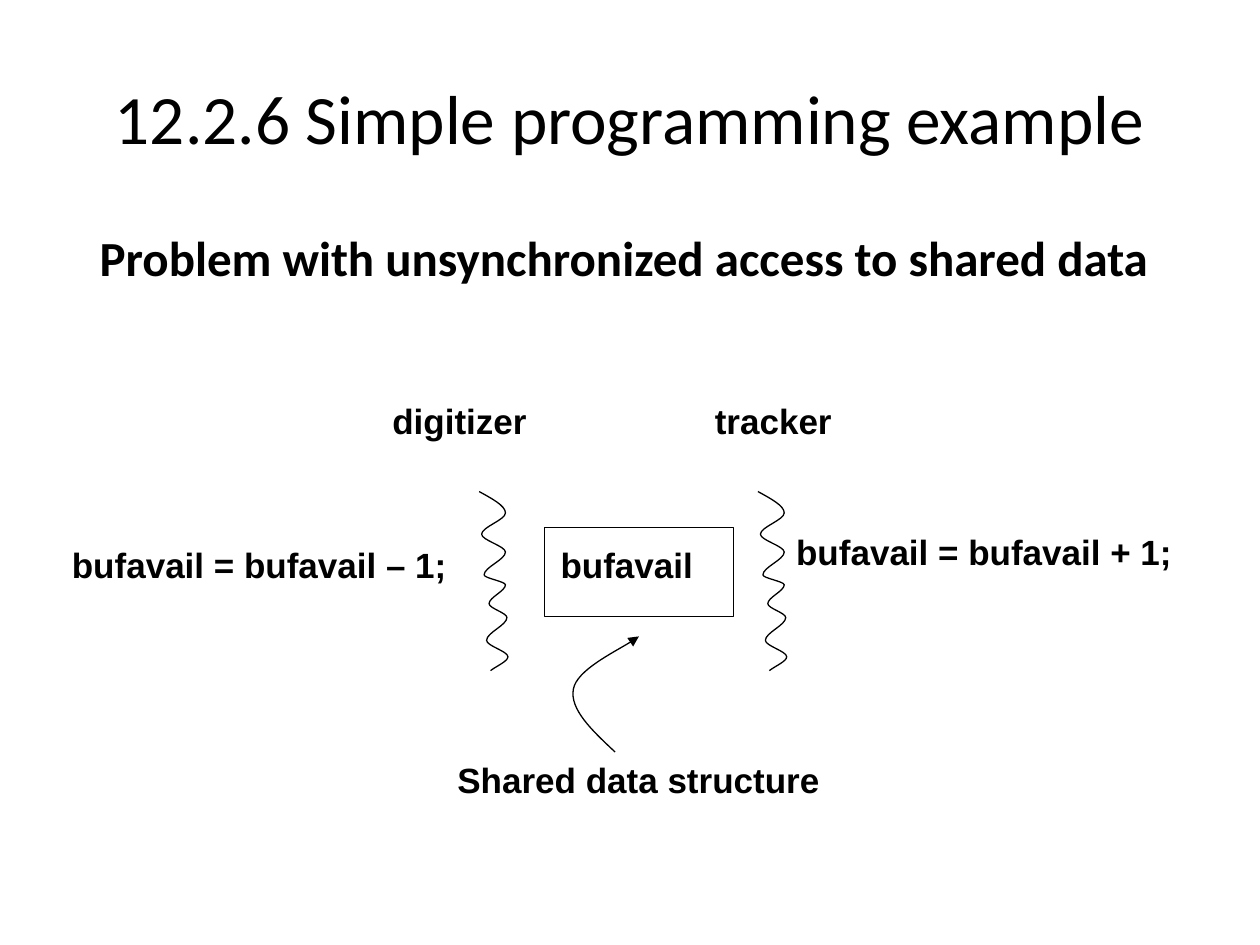
from dataclasses import dataclass

from lxml.etree import SubElement
from pptx import Presentation
from pptx.dml.color import RGBColor
from pptx.enum.shapes import MSO_SHAPE as Shape
from pptx.enum.text import MSO_ANCHOR as Anchor, MSO_AUTO_SIZE as AutoSize, PP_ALIGN as Align
from pptx.oxml.ns import qn
from pptx.util import Cm, Pt


@dataclass(frozen=True)
class Theme:
    ink: RGBColor = RGBColor(0, 0, 0)
    heading_font: str = "Calibri"
    label_font: str = "Arial"
    title_size: float = 39.6
    subtitle_size: float = 28
    label_size: float = 20
    line_width: float = 0.75


def wave_points(turns, lead_in, lead_out):
    """Add two control points per gap, so the curve is vertical at inner turns."""
    points = [turns[0]]
    last = len(turns) - 2
    for i, ((x0, y0), (x1, y1)) in enumerate(zip(turns, turns[1:])):
        third = (y1 - y0) / 3
        leave_x = x0 + (lead_in if i == 0 else 0)
        arrive_x = x1 + (lead_out if i == last else 0)
        points += [(leave_x, y0 + third), (arrive_x, y1 - third), (x1, y1)]
    return points


class SlideBuilder:
    def __init__(self, slide, theme):
        self.slide = slide
        self.theme = theme

    def _text(self, text, left, top, width, height, font, size, bold):
        box = self.slide.shapes.add_textbox(Cm(left), Cm(top), Cm(width), Cm(height))
        frame = box.text_frame
        frame.word_wrap = True
        paragraph = frame.paragraphs[0]
        paragraph.text = text
        paragraph.font.name = font
        paragraph.font.size = Pt(size)
        paragraph.font.bold = bold
        paragraph.font.color.rgb = self.theme.ink
        return frame

    def _outline(self, shape):
        shape.shadow.inherit = False
        shape.fill.background()
        shape.line.color.rgb = self.theme.ink
        shape.line.width = Pt(self.theme.line_width)

    def title(self, text, left, top, width, height):
        frame = self._text(text, left, top, width, height,
                           self.theme.heading_font, self.theme.title_size, False)
        frame.vertical_anchor = Anchor.MIDDLE
        frame.paragraphs[0].alignment = Align.CENTER

    def subtitle(self, text, left, top, width, height):
        frame = self._text(text, left, top, width, height,
                           self.theme.heading_font, self.theme.subtitle_size, True)
        frame.word_wrap = False
        frame.auto_size = AutoSize.SHAPE_TO_FIT_TEXT

    def label(self, text, left, top, width, height=1.17):
        frame = self._text(text, left, top, width, height,
                           self.theme.label_font, self.theme.label_size, True)
        frame.margin_left = frame.margin_right = Cm(0.18)
        frame.margin_top = frame.margin_bottom = Cm(0.08)

    def box(self, left, top, width, height):
        self._outline(self.slide.shapes.add_shape(
            Shape.RECTANGLE, Cm(left), Cm(top), Cm(width), Cm(height)))

    def curve(self, points, left=0, top=0, arrow=False):
        """Draw a start point and cubic triples (control, control, end)."""
        start, *rest = [(Cm(left + x), Cm(top + y)) for x, y in points]
        builder = self.slide.shapes.build_freeform(*start)
        builder.add_line_segments(rest, close=False)
        outline = builder.convert_to_shape()
        drawn_path = next(outline.element.iter(qn("a:path")))
        lines = drawn_path.findall(qn("a:lnTo"))
        for first in range(0, len(lines), 3):
            cubic = SubElement(drawn_path, qn("a:cubicBezTo"))
            for line in lines[first:first + 3]:
                cubic.append(line[0])
                drawn_path.remove(line)
        self._outline(outline)
        if arrow:
            stroke = next(outline.element.iter(qn("a:ln")))
            SubElement(stroke, qn("a:tailEnd"), type="triangle")


def main():
    deck = Presentation()
    deck.slide_width, deck.slide_height = Cm(25.4), Cm(19.05)
    page = SlideBuilder(deck.slides.add_slide(deck.slide_layouts[6]), Theme())

    page.title("12.2.6 Simple programming example", 1.27, 0.76, 22.86, 3.18)

    thread_turns = [(0, 0), (0.53, 0.43), (0.05, 0.86), (0.53, 1.22), (0.1, 1.68),
                    (0.53, 1.88), (0.2, 2.26), (0.56, 2.54), (0.15, 3), (0.58, 3.33),
                    (0.23, 3.61)]
    thread = wave_points(thread_turns, lead_in=0.26, lead_out=0.12)
    for thread_left in (9.66, 15.28):
        page.curve(thread, thread_left, 9.91)

    page.box(10.98, 10.63, 3.81, 1.8)
    for text, left, top, width in (
        ("digitizer", 7.73, 7.98, 3.53),
        ("tracker", 14.23, 7.98, 3.56),
        ("bufavail", 11.12, 10.87, 3.66),
        ("bufavail = bufavail – 1;", 1.27, 10.87, 8.38),
        ("bufavail = bufavail + 1;", 15.87, 10.62, 8.41),
        ("Shared data structure", 9.04, 15.21, 8.2),
    ):
        page.label(text, left, top, width)

    page.curve([(12.4, 15.16), (11.94, 14.73), (11.48, 14.3), (11.56, 13.89),
                (11.63, 13.51), (12.67, 13), (12.88, 12.83)], arrow=True)

    page.subtitle("Problem with unsynchronized access to shared data", 1.76, 4.47, 21.89, 1.45)
    deck.save("out.pptx")


if __name__ == "__main__":
    main()
